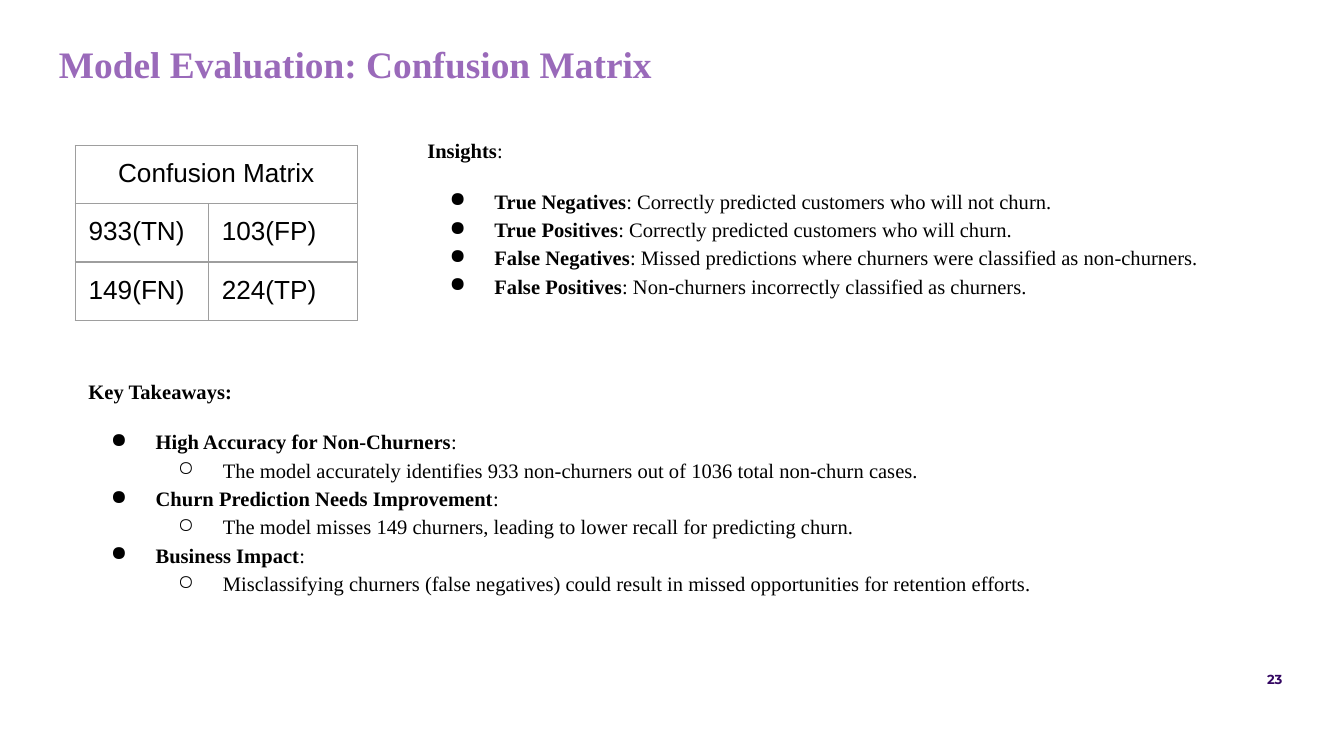
from dataclasses import dataclass

from lxml import etree
from pptx import Presentation
from pptx import util as u
from pptx.dml.color import RGBColor
from pptx.enum import text as t
from pptx.oxml import ns

BLACK = RGBColor(0x00, 0x00, 0x00)
PURPLE = RGBColor(0x9A, 0x6A, 0xBA)
INDIGO = RGBColor(0x33, 0x06, 0x62)
GREY = RGBColor(0x9E, 0x9E, 0x9E)
SERIF = "Times New Roman"
INSET = u.Pt(7.2)
BULLETS = "●○"
INDENT = 36
HANGING = 24


@dataclass(frozen=True)
class Box:
    left: float
    top: float
    width: float
    height: float

    def emu(self) -> list:
        return [u.Pt(v) for v in (self.left, self.top, self.width, self.height)]


@dataclass(frozen=True)
class Style:
    font: str
    size: float
    color: RGBColor


@dataclass(frozen=True)
class Point:
    term: str
    detail: str = ""
    level: int = 0


BODY = Style(SERIF, 11, BLACK)
CELL = Style("Arial", 14, BLACK)

INSIGHTS = [
    Point("True Negatives", ": Correctly predicted customers who will not churn."),
    Point("True Positives", ": Correctly predicted customers who will churn."),
    Point("False Negatives", ": Missed predictions where churners were classified as non-churners."),
    Point("False Positives", ": Non-churners incorrectly classified as churners."),
]
TAKEAWAYS = [
    Point("High Accuracy for Non-Churners", ":"),
    Point("", "The model accurately identifies 933 non-churners out of 1036 total non-churn cases.", 1),
    Point("Churn Prediction Needs Improvement", ":"),
    Point("", "The model misses 149 churners, leading to lower recall for predicting churn.", 1),
    Point("Business Impact", ":"),
    Point("", "Misclassifying churners (false negatives) could result in missed "
              "opportunities for retention efforts.", 1),
]
COUNTS = [("933(TN)", "103(FP)"), ("149(FN)", "224(TP)")]


def add_run(paragraph, wording: str, style: Style, bold: bool = False) -> None:
    if not wording:
        return
    run = paragraph.add_run()
    run.text = wording
    run.font.name = style.font
    run.font.size = u.Pt(style.size)
    run.font.color.rgb = style.color
    run.font.bold = bold


def add_frame(slide, box: Box):
    frame = slide.shapes.add_textbox(*box.emu()).text_frame
    frame.word_wrap = True
    frame.margin_left = frame.margin_right = INSET
    frame.margin_top = frame.margin_bottom = INSET
    return frame


def add_line(slide, box: Box, wording: str, style: Style, align: t.PP_ALIGN) -> None:
    frame = add_frame(slide, box)
    frame.vertical_anchor = t.MSO_ANCHOR.TOP
    paragraph = frame.paragraphs[0]
    paragraph.alignment = align
    add_run(paragraph, wording, style, bold=True)


def set_bullet(paragraph, level: int) -> None:
    paragraph.level = level
    properties = paragraph._p.get_or_add_pPr()
    properties.set("marL", str(u.Pt(INDENT * (level + 1))))
    properties.set("indent", str(-u.Pt(HANGING)))
    color = etree.SubElement(properties, ns.qn("a:buClr"))
    etree.SubElement(color, ns.qn("a:srgbClr"), val=str(BLACK))
    etree.SubElement(properties, ns.qn("a:buChar"), char=BULLETS[level])


def add_section(slide, box: Box, heading: Point, points: list[Point]) -> None:
    frame = add_frame(slide, box)
    for index, point in enumerate([heading, *points]):
        paragraph = frame.add_paragraph() if index else frame.paragraphs[0]
        paragraph.line_spacing = 1.15
        paragraph.space_before = u.Pt(12 if index < 2 else 0)
        if index:
            set_bullet(paragraph, point.level)
        add_run(paragraph, point.term, BODY, bold=True)
        add_run(paragraph, point.detail, BODY)


def fill_cell(cell, wording: str, align: t.PP_ALIGN) -> None:
    cell.margin_left = cell.margin_right = INSET
    cell.margin_top = cell.margin_bottom = INSET
    paragraph = cell.text_frame.paragraphs[0]
    paragraph.alignment = align
    add_run(paragraph, wording, CELL)


def set_borders(cell) -> None:
    properties = cell._tc.get_or_add_tcPr()
    for side in ("a:lnL", "a:lnR", "a:lnT", "a:lnB"):
        line = etree.SubElement(properties, ns.qn(side), w=str(u.Pt(0.75)))
        fill = etree.SubElement(line, ns.qn("a:solidFill"))
        etree.SubElement(fill, ns.qn("a:srgbClr"), val=str(GREY))
    cell.fill.background()


def add_matrix(slide, box: Box, column_widths: tuple[float, ...]) -> None:
    matrix = slide.shapes.add_table(len(COUNTS) + 1, len(column_widths), *box.emu()).table
    matrix.first_row = matrix.horz_banding = False
    for column, width in zip(matrix.columns, column_widths):
        column.width = u.Pt(width)
    for cell in matrix.iter_cells():
        set_borders(cell)
    heading = matrix.cell(0, 0)
    heading.merge(matrix.cell(0, len(column_widths) - 1))
    fill_cell(heading, "Confusion Matrix", t.PP_ALIGN.CENTER)
    for row, counts in enumerate(COUNTS, start=1):
        for column, count in enumerate(counts):
            fill_cell(matrix.cell(row, column), count, t.PP_ALIGN.LEFT)


def main() -> None:
    deck = Presentation()
    deck.slide_width, deck.slide_height = u.Pt(720), u.Pt(405)
    slide = deck.slides.add_slide(deck.slide_layouts[6])

    add_line(slide, Box(363.6, 355.7, 330.5, 24.5), "23",
             Style("Montserrat", 7, INDIGO), t.PP_ALIGN.RIGHT)
    add_line(slide, Box(24.5, 15.1, 663.1, 45.4), "Model Evaluation: Confusion Matrix",
             Style(SERIF, 20, PURPLE), t.PP_ALIGN.LEFT)
    add_matrix(slide, Box(40.3, 77.9, 151.2, 92.9), (71.3, 79.9))
    add_section(slide, Box(221.8, 64.8, 450, 115.2), Point("Insights", ":"), INSIGHTS)
    add_section(slide, Box(40.3, 193.7, 549.4, 146.2), Point("Key Takeaways:"), TAKEAWAYS)

    deck.save("out.pptx")


if __name__ == "__main__":
    main()
